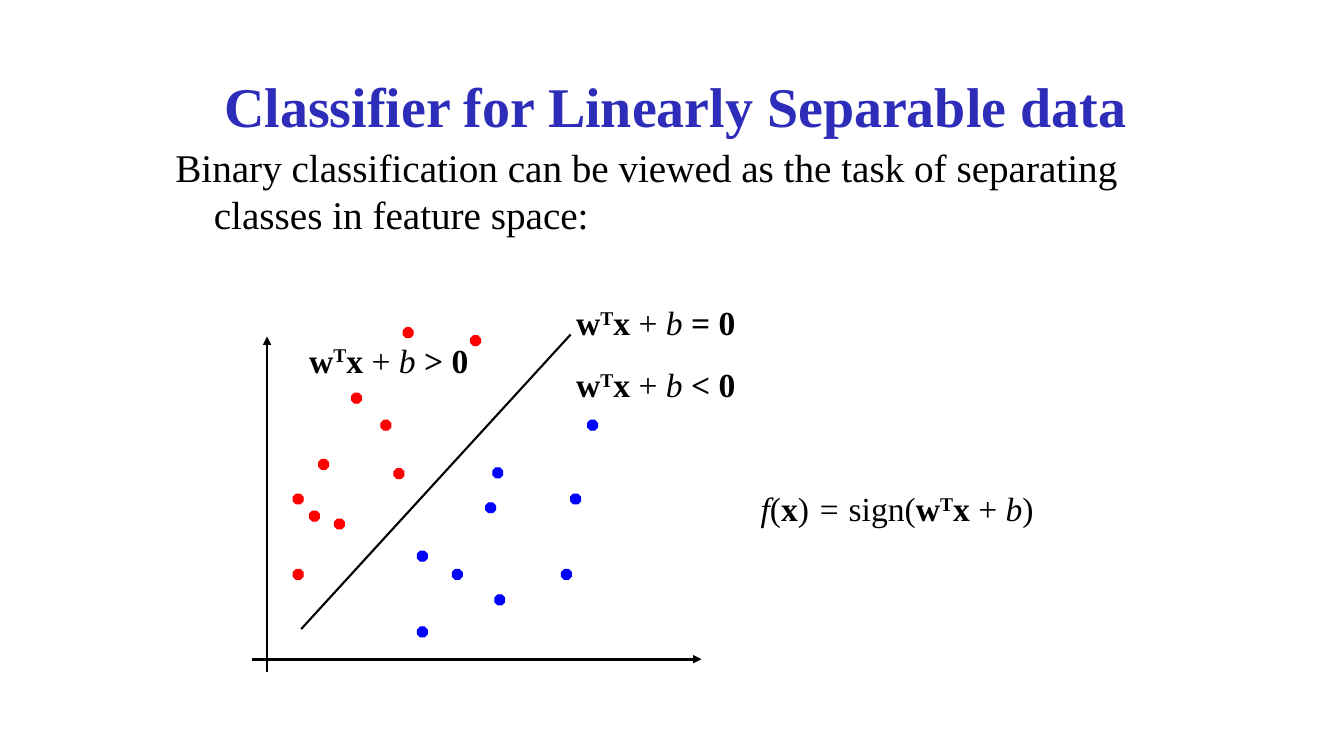
import pptx
import pptx.util
import pptx.dml.color
import pptx.enum.shapes
import pptx.enum.text
import pptx.oxml.ns
import lxml.etree
import dataclasses

Cm = pptx.util.Cm
Pt = pptx.util.Pt
qn = pptx.oxml.ns.qn


@dataclasses.dataclass
class Theme:
    font: str = "Times New Roman"
    ink: str = "000000"
    title: str = "2D2DB9"
    red: str = "FF0000"
    blue: str = "0000FF"
    head: int = 40
    body: int = 28
    label: int = 24


class Board:
    """Draws styled elements on the current slide."""

    def __init__(self, slide, theme):
        self.slide = slide
        self.theme = theme

    def color(self, code):
        return pptx.dml.color.RGBColor.from_string(code)

    def style(self, run, size, code, marks=""):
        font = run.font
        font.name, font.size = self.theme.font, Pt(size)
        font.bold, font.italic = "b" in marks, "i" in marks
        font.color.rgb = self.color(code)
        if "t" in marks:
            run._r.get_or_add_rPr().set("baseline", "30000")

    def box(self, left, top, width, height):
        shape = self.slide.shapes.add_textbox(
            Cm(left), Cm(top), Cm(width), Cm(height))
        shape.text_frame.word_wrap = True
        return shape.text_frame

    def title(self, text, *area):
        frame = self.box(*area)
        frame.vertical_anchor = pptx.enum.text.MSO_ANCHOR.MIDDLE
        frame.text = text
        line = frame.paragraphs[0]
        line.alignment = pptx.enum.text.PP_ALIGN.CENTER
        self.style(line.runs[0], self.theme.head, self.theme.title, "b")

    def body(self, text, *area, hang):
        frame = self.box(*area)
        frame.text = text
        line = frame.paragraphs[0]
        line.space_before = Pt(self.theme.body * 0.2)
        props = line._p.get_or_add_pPr()
        props.set("marL", str(Cm(hang)))
        props.set("indent", str(-Cm(hang)))
        self.style(line.runs[0], self.theme.body, self.theme.ink)

    def math(self, parts, *area):
        line = self.box(*area).paragraphs[0]
        for text, marks in parts:
            run = line.add_run()
            run.text = text
            self.style(run, self.theme.label, self.theme.ink, marks)

    def line(self, start, end, width, arrow=False):
        link = self.slide.shapes.add_connector(
            pptx.enum.shapes.MSO_CONNECTOR.STRAIGHT,
            *(Cm(n) for n in start + end))
        link.line.color.rgb = self.color(self.theme.ink)
        link.line.width = Pt(width)
        if arrow:
            edge = link.line._get_or_add_ln()
            lxml.etree.SubElement(edge, qn("a:tailEnd"), type="triangle")
        lxml.etree.SubElement(link._element.spPr, qn("a:effectLst"))

    def dots(self, spots, code, size=0.25):
        for left, top in spots:
            dot = self.slide.shapes.add_shape(
                pptx.enum.shapes.MSO_SHAPE.OCTAGON,
                Cm(left), Cm(top), Cm(size), Cm(size))
            dot.shadow.inherit = False
            dot.adjustments[0] = 0.29
            dot.fill.solid()
            dot.fill.fore_color.rgb = self.color(code)
            dot.line.color.rgb = self.color(code)
            dot.line.width = Pt(0.75)


RED = [(9.6, 10.59), (8.03, 11.58), (8.43, 13.08), (7.39, 14.35),
       (8.86, 9.91), (7.39, 12.45), (7.8, 12.88), (9.93, 11.81),
       (10.16, 8.26), (11.86, 8.46)]
BLUE = [(12.42, 11.79), (11.4, 14.35), (14.15, 14.35), (10.52, 15.8),
        (12.24, 12.67), (10.52, 13.89), (12.47, 14.99), (14.38, 12.45),
        (14.81, 10.59)]
SCORE = [("w", "b"), ("T", "bt"), ("x ", "b"), ("+ ", ""), ("b", "i")]
SIGN = [("f", "i"), ("(", ""), ("x", "b"), (")", ""), (" = ", "i"),
        ("sign(", "")] + SCORE + [(")", "")]
CASES = [("=", 14.27, 7.49), ("<", 14.27, 9.04), (">", 7.54, 8.43)]


def main():
    deck = pptx.Presentation()
    deck.slide_width, deck.slide_height = Cm(33.87), Cm(19.05)
    theme = Theme()
    board = Board(deck.slides.add_slide(deck.slide_layouts[6]), theme)
    board.title("Classifier for Linearly Separable data",
                4.65, 1.07, 24.74, 3.18)
    board.body("Binary classification can be viewed as the task of "
               "separating classes in feature space:",
               4.17, 3.48, 25.68, 14.45, hang=0.97)
    board.line((6.73, 16.94), (6.73, 8.48), 2, arrow=True)
    board.line((6.35, 16.61), (17.68, 16.61), 2, arrow=True)
    board.line((7.59, 15.85), (14.38, 8.43), 1.5)
    board.dots(RED, theme.red)
    board.dots(BLUE, theme.blue)
    for sign, left, top in CASES:
        board.math(SCORE + [(f" {sign} 0", "b")], left, top, 7.42, 1.27)
    board.math(SIGN, 18.92, 12.17, 8.15, 1.27)
    deck.save("out.pptx")


if __name__ == "__main__":
    main()
